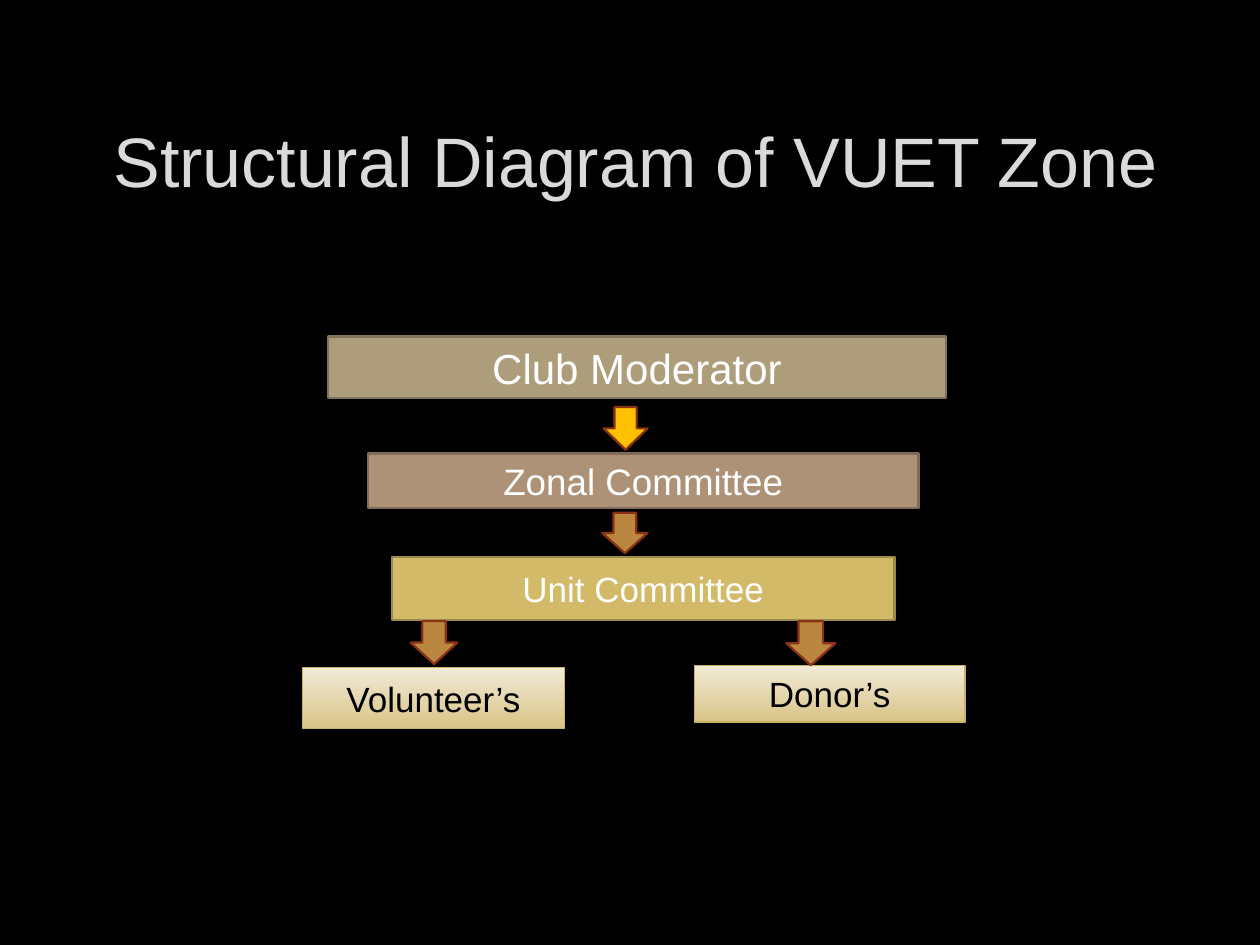
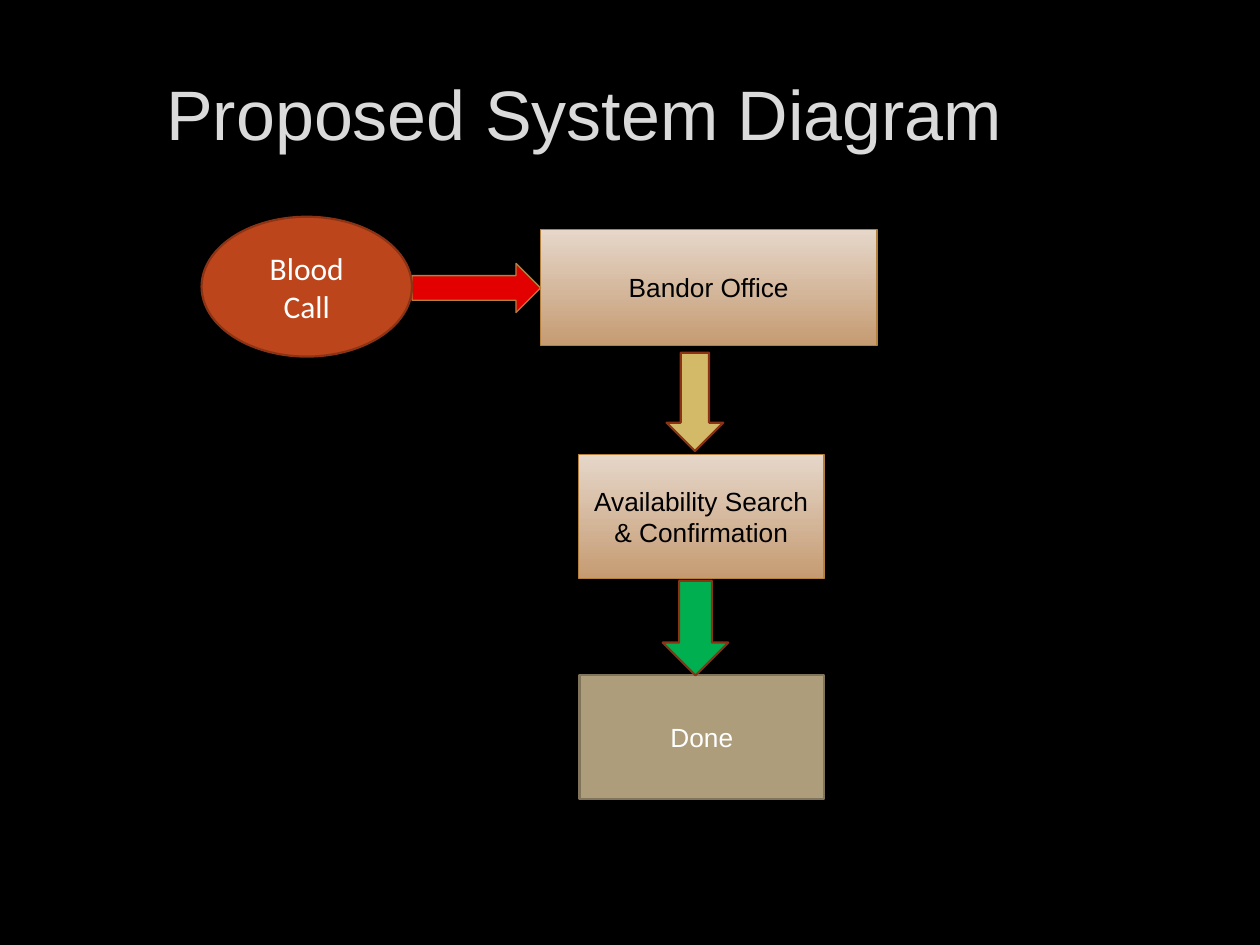
"""Build two dark slides: an organisation diagram and a system flow diagram."""
from dataclasses import dataclass

from pptx import Presentation
from pptx.dml.color import RGBColor
from pptx.enum.shapes import MSO_SHAPE
from pptx.enum.text import MSO_ANCHOR, MSO_AUTO_SIZE, PP_ALIGN
from pptx.util import Inches, Pt

RECTANGLE, ELLIPSE = MSO_SHAPE.RECTANGLE, MSO_SHAPE.OVAL
DOWN, RIGHT = MSO_SHAPE.DOWN_ARROW, MSO_SHAPE.RIGHT_ARROW
MIDDLE = MSO_ANCHOR.MIDDLE
LEFT, CENTER = PP_ALIGN.LEFT, PP_ALIGN.CENTER
FIXED_SIZE = MSO_AUTO_SIZE.NONE
TITLE_ONLY = 5


@dataclass(frozen=True)
class Theme:
    """Colours, outlines, fonts and type sizes shared by the slides."""
    background: str = "000000"
    title: str = "DADADA"
    light: str = "FFFFFF"
    dark: str = "000000"
    khaki: tuple = (("AD9D7B",), "80745B", 1.25)
    clay: tuple = (("AD9277",), "806C58", 1.25)
    gold: tuple = (("D3BA68",), "9C8A4D", 1.25)
    cream: tuple = (("F1EAD7", "D9C487"), "CAB263", 0.75)
    sand: tuple = (("E6D7CA", "C59B72"), "B3803D", 0.75)
    rust: tuple = (("BC451B",), "8B3314", 1.25)
    amber_arrow: tuple = (("FFC000",), "8B3314", 1.25)
    bronze_arrow: tuple = (("BB8640",), "8B3314", 1.25)
    gold_arrow: tuple = (("D3BA68",), "8B3314", 1.25)
    green_arrow: tuple = (("00B050",), "8B3314", 1.25)
    red_arrow: tuple = (("E20000",), "B3803D", 0.75)
    font: str = "Arial"
    call_font: str = "Calibri"
    title_size: float = 40
    top_size: float = 24
    zonal_size: float = 21
    unit_size: float = 20
    call_size: float = 18
    step_size: float = 15


theme = Theme()
presentation = Presentation()
presentation.slide_width, presentation.slide_height = Inches(10), Inches(7.5)
column = presentation.slide_width / 100
row = presentation.slide_height / 75
box_margins = {"margin_left": Inches(0.07), "margin_right": Inches(0.07),
               "margin_top": Inches(0.04), "margin_bottom": Inches(0.04)}


def place(shape, left, top, width, height):
    """Put a shape on the grid of columns and rows."""
    frame = {"left": left * column, "top": top * row,
             "width": width * column, "height": height * row}
    for name, length in frame.items():
        setattr(shape, name, round(length))


def write(shape, text, size, colour, font, alignment, margins):
    """Write one formatted paragraph into a shape."""
    frame = shape.text_frame
    frame.text = text
    paragraph = frame.paragraphs[0]
    frame_format = {"word_wrap": True, "auto_size": FIXED_SIZE,
                    "vertical_anchor": MIDDLE, **margins}
    font_format = {"name": font, "size": Pt(size), "bold": False}
    for target, values in ((frame, frame_format), (paragraph, {"alignment": alignment}),
                           (paragraph.runs[0].font, font_format)):
        for name, value in values.items():
            setattr(target, name, value)
    paragraph.runs[0].font.color.rgb = RGBColor.from_string(colour)


background = presentation.slide_master.background.fill
background.solid()
background.fore_color.rgb = RGBColor.from_string(theme.background)

structure = [
    (RECTANGLE, (26, 26.7, 49.1, 4.9), theme.khaki, "Club Moderator", theme.top_size, theme.light),
    (RECTANGLE, (29.2, 36, 43.7, 4.3), theme.clay, "Zonal Committee", theme.zonal_size, theme.light),
    (RECTANGLE, (31.1, 44.2, 39.9, 5), theme.gold, "Unit Committee", theme.unit_size, theme.light),
    (RECTANGLE, (24, 53, 20.8, 4.8), theme.cream, "Volunteer’s", theme.unit_size, theme.dark),
    (RECTANGLE, (55.1, 52.8, 21.5, 4.5), theme.cream, "Donor’s", theme.unit_size, theme.dark),
    (DOWN, (47.9, 32.3, 3.5, 3.4), theme.amber_arrow),
    (DOWN, (47.8, 40.7, 3.6, 3.2), theme.bronze_arrow),
    (DOWN, (32.6, 49.3, 3.7, 3.4), theme.bronze_arrow),
    (DOWN, (62.4, 49.3, 3.9, 3.5), theme.bronze_arrow),
]
system = [
    (RECTANGLE, (42.9, 18.2, 26.7, 9.2), theme.sand, "Bandor Office", theme.step_size, theme.dark),
    (RECTANGLE, (45.9, 36.1, 19.5, 9.8), theme.sand, "Availability Search & Confirmation",
     theme.step_size, theme.dark),
    (RECTANGLE, (46, 53.6, 19.4, 9.8), theme.khaki, "Done", theme.step_size, theme.light),
    (RIGHT, (32.7, 20.9, 10.2, 3.9), theme.red_arrow),
    (DOWN, (52.9, 28, 4.5, 7.8), theme.gold_arrow),
    (DOWN, (52.6, 46.1, 5.2, 7.5), theme.green_arrow),
    (ELLIPSE, (16, 17.2, 16.7, 11.1), theme.rust, "Blood Call", theme.call_size, theme.light),
]
diagrams = [
    ("Structural Diagram of VUET Zone", (8, 6.7, 85, 11.9), structure),
    ("Proposed System Diagram", (12.2, 4.6, 82.2, 8.7), system),
]

for title, title_area, parts in diagrams:
    slide = presentation.slides.add_slide(presentation.slide_layouts[TITLE_ONLY])
    place(slide.shapes.title, *title_area)
    write(slide.shapes.title, title, theme.title_size, theme.title, theme.font, LEFT, {})
    for kind, area, (fills, outline, weight), *label in parts:
        shape = slide.shapes.add_shape(kind, 0, 0, 0, 0)
        place(shape, *area)
        shape.shadow.inherit = False
        if len(fills) == 1:
            shape.fill.solid()
            shape.fill.fore_color.rgb = RGBColor.from_string(fills[0])
        else:
            shape.fill.gradient()
            shape.fill.gradient_angle = 270
            for stop, colour in zip(shape.fill.gradient_stops, fills):
                stop.color.rgb = RGBColor.from_string(colour)
        shape.line.color.rgb = RGBColor.from_string(outline)
        shape.line.width = Pt(weight)
        if label:
            is_call = kind == ELLIPSE
            write(shape, *label, theme.call_font if is_call else theme.font, CENTER,
                  {} if is_call else box_margins)

presentation.save("out.pptx")
